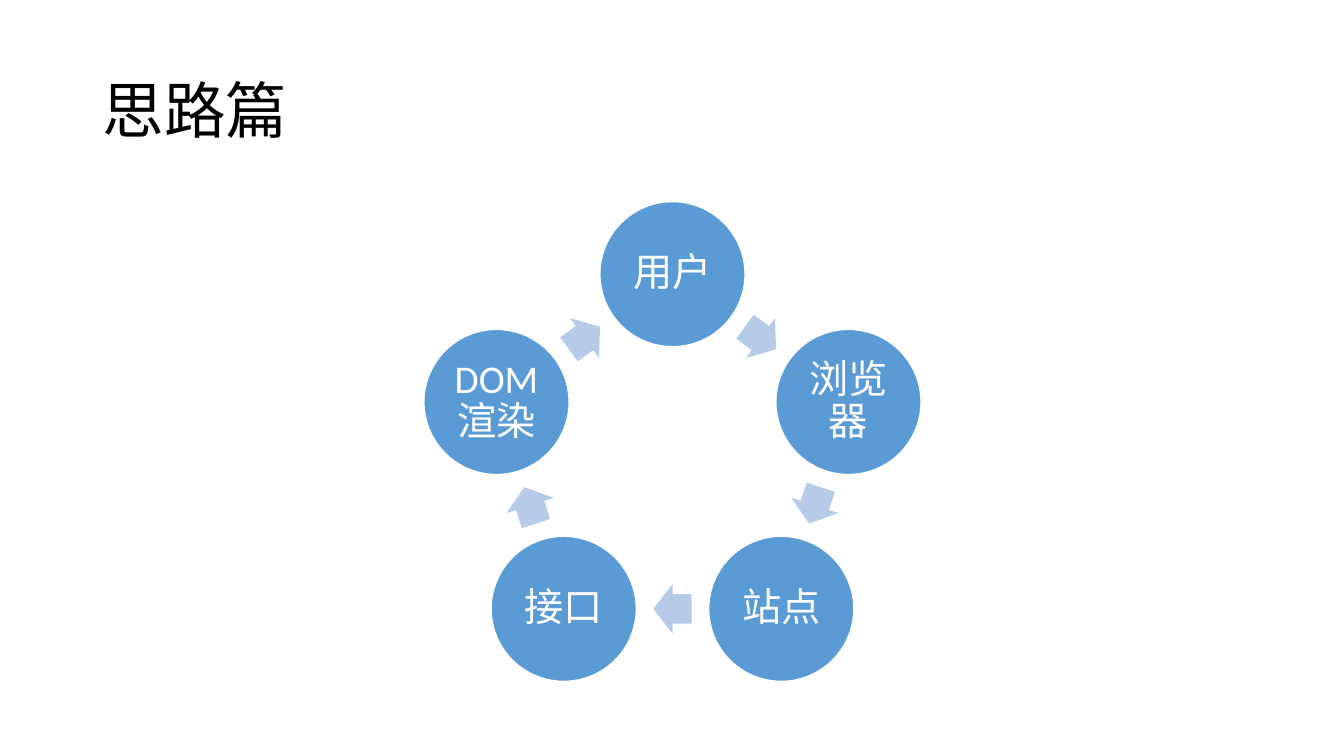
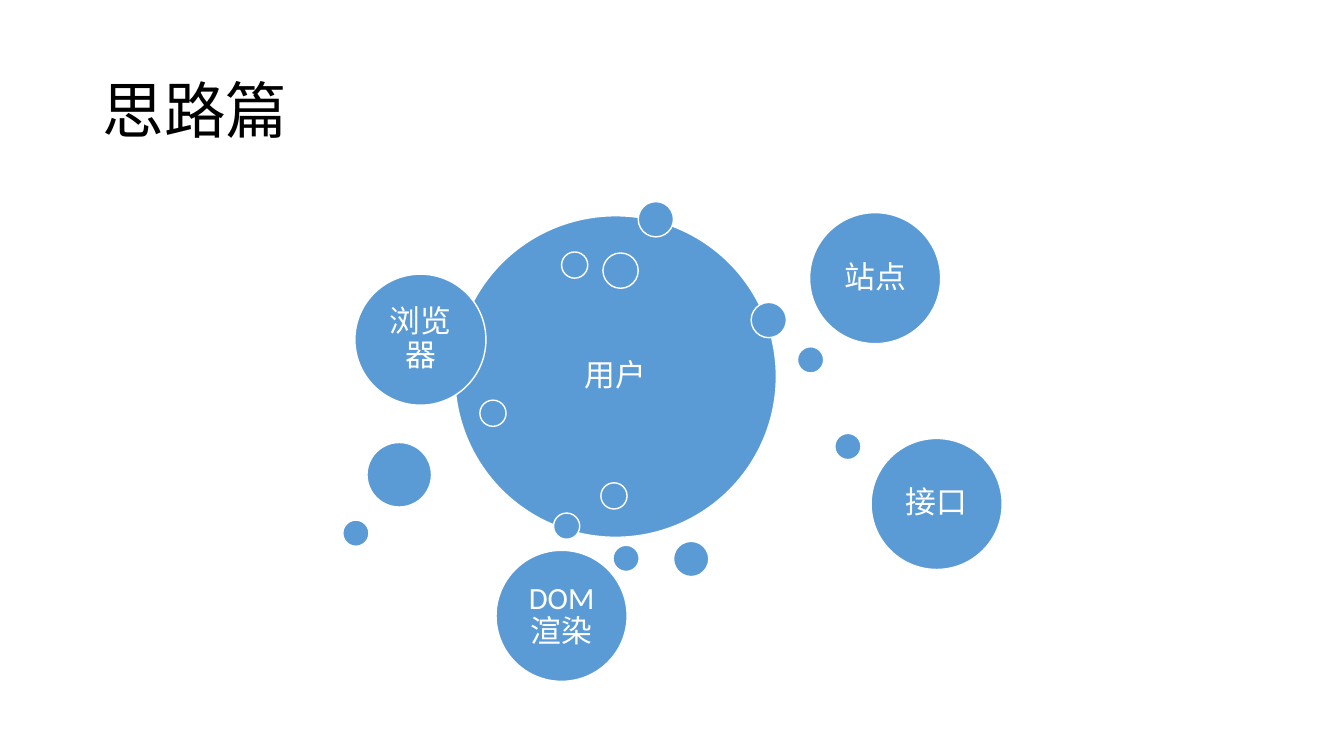
import math
from dataclasses import dataclass

import pptx
import pptx.dml.color
import pptx.enum.shapes
import pptx.enum.text
import pptx.util

Inches = pptx.util.Inches
SHAPE = pptx.enum.shapes.MSO_SHAPE
ALIGN = pptx.enum.text.PP_ALIGN
ANCHOR = pptx.enum.text.MSO_ANCHOR


@dataclass(frozen=True)
class Theme:
    font: str = "Calibri"
    title_size: int = 44
    ring_size: int = 28
    bubble_size: int = 22
    title_color: str = "000000"
    circle_fill: str = "5B9BD5"
    on_circle: str = "FFFFFF"
    arrow_fill: str = "B5CBE7"


@dataclass(frozen=True)
class Box:
    left: float
    top: float
    width: float
    height: float

    def lengths(self):
        return [Inches(v) for v in (self.left, self.top, self.width, self.height)]


THEME = Theme()
TITLE_BOX = Box(0.92, 0.4, 11.5, 1.45)
RING_BOX = Box(0.92, 2, 11.5, 4.76)
BUBBLE_BOX = Box(3.4, 2, 6.54, 4.76)

STEPS = ["用户", "浏览器", "站点", "接口", "DOM渲染"]

# Bubble diameters
DOT, SPOT, BLOB, NODE, HUB = 0.26, 0.35, 0.64, 1.3, 3.19

# Left and top within the box, diameter, label; from back to front
BUBBLES = [
    (1.11, 0.14, HUB, "用户"),
    (2.93, 0, SPOT, ""),
    (2.09, 3.09, DOT, ""),
    (4.51, 1.44, DOT, ""),
    (3.28, 3.37, SPOT, ""),
    (2.17, 0.5, DOT, ""),
    (1.36, 1.97, DOT, ""),
    (0.12, 0.72, NODE, "浏览器"),
    (2.58, 0.51, SPOT, ""),
    (0.24, 2.39, BLOB, ""),
    (4.63, 0.11, NODE, "站点"),
    (4.05, 1, SPOT, ""),
    (0, 3.16, DOT, ""),
    (2.56, 2.79, DOT, ""),
    (5.24, 2.35, NODE, "接口"),
    (4.88, 2.3, DOT, ""),
    (1.52, 3.46, NODE, "DOM渲染"),
    (2.68, 3.41, DOT, ""),
]


def rgb(color):
    return pptx.dml.color.RGBColor.from_string(color)


def write(frame, text, *, size, color, align=ALIGN.LEFT, inset=None):
    """Fill a text frame with one formatted paragraph."""
    frame.word_wrap = True
    frame.vertical_anchor = ANCHOR.MIDDLE
    if inset is not None:
        frame.margin_left = frame.margin_right = Inches(inset)
        frame.margin_top = frame.margin_bottom = Inches(inset)
    para = frame.paragraphs[0]
    para.alignment = align
    para.line_spacing = 0.9
    span = para.add_run()
    span.text = text
    span.font.name = THEME.font
    span.font.size = pptx.util.Pt(size)
    span.font.color.rgb = rgb(color)


def add_figure(page, kind, box, fill, line=None):
    """Add a flat preset shape, outlined only when a line colour is given."""
    figure = page.shapes.add_shape(kind, *box.lengths())
    figure.shadow.inherit = False
    figure.fill.solid()
    figure.fill.fore_color.rgb = rgb(fill)
    if line:
        figure.line.color.rgb = rgb(line)
        figure.line.width = pptx.util.Pt(1)
    else:
        figure.line.fill.background()
    return figure


def add_circle(page, left, top, diameter, label="", *, size, inset):
    box = Box(left, top, diameter, diameter)
    circle = add_figure(page, SHAPE.OVAL, box, THEME.circle_fill, THEME.on_circle)
    if label:
        write(circle.text_frame, label, size=size, color=THEME.on_circle,
              align=ALIGN.CENTER, inset=inset)


def add_title(page, box, text):
    title = page.shapes.add_textbox(*box.lengths())
    write(title.text_frame, text, size=THEME.title_size, color=THEME.title_color)


def add_ring(page, box, labels, diameter=1.44):
    """Place labelled circles on a ring, with arrows halfway between them."""
    count = len(labels)
    turn = 360 / count
    arrow_length, arrow_width = 0.38, 0.49

    # The lowest circles of the ring touch the foot of the box
    radius = (box.height - diameter) / (1 + math.cos(math.radians(turn / 2)))
    center_x = box.left + box.width / 2
    center_y = box.top + diameter / 2 + radius

    def point(distance, degrees):
        angle = math.radians(degrees)
        return (center_x + distance * math.sin(angle),
                center_y - distance * math.cos(angle))

    for index, label in enumerate(labels):
        # Circle
        x, y = point(radius, index * turn)
        add_circle(page, x - diameter / 2, y - diameter / 2, diameter, label,
                   size=THEME.ring_size, inset=0.04)

        # Arrow to the next circle
        middle = (index + 0.5) * turn
        x, y = point(radius * math.cos(math.radians(turn / 2)), middle)
        arrow_box = Box(x - arrow_length / 2, y - arrow_width / 2,
                        arrow_length, arrow_width)
        arrow = add_figure(page, SHAPE.RIGHT_ARROW, arrow_box, THEME.arrow_fill)
        arrow.adjustments[0] = 0.6
        arrow.adjustments[1] = 0.5
        arrow.rotation = middle


def add_bubbles(page, box, bubbles):
    """Scatter circles inside the box around a large hub."""
    for left, top, diameter, label in bubbles:
        add_circle(page, box.left + left, box.top + top, diameter, label,
                   size=THEME.bubble_size, inset=0.09)


def add_page(deck, title):
    page = deck.slides.add_slide(deck.slide_layouts[6])
    add_title(page, TITLE_BOX, title)
    return page


def main():
    deck = pptx.Presentation()
    deck.slide_width = Inches(13.33)
    deck.slide_height = Inches(7.5)

    add_ring(add_page(deck, "思路篇"), RING_BOX, STEPS)
    add_bubbles(add_page(deck, "思路篇"), BUBBLE_BOX, BUBBLES)

    deck.save("out.pptx")


if __name__ == "__main__":
    main()
